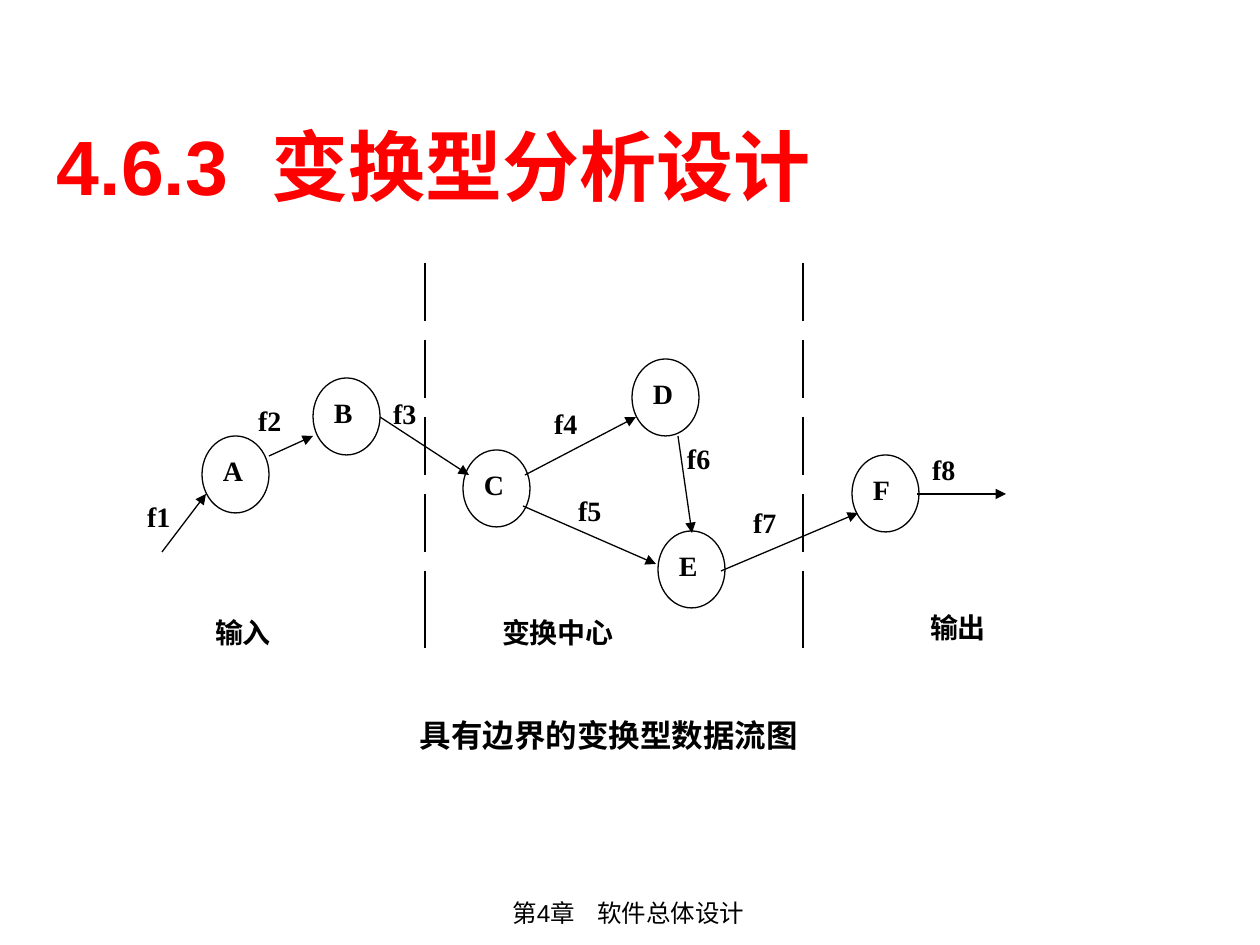
from lxml.etree import SubElement
from pptx import Presentation
from pptx.dml.color import RGBColor
from pptx.enum.shapes import MSO_CONNECTOR as Connector, MSO_SHAPE as Shape
from pptx.enum.text import MSO_ANCHOR as Anchor, MSO_AUTO_SIZE as AutoSize, PP_ALIGN as Align
from pptx.oxml.ns import qn
from pptx.util import Pt

EMU_PER_PX = 914400 / 126
COLORS = {"ink": "000000", "paper": "FFFFFF", "title": "FF0000"}
SERIF, SANS = "Times New Roman", "Arial"

FLOW_LABELS = {
    "f2": (247, 398, 58), "f3": (382, 391, 58), "f8": (921, 447, 58),
    "f7": (742, 500, 58), "f5": (567, 488, 48), "f6": (676, 436, 58),
    "f4": (543, 401, 58), "f1": (136, 494, 58),
}
PROCESSES = {
    "A": (202, 436), "B": (313, 378), "E": (658, 531),
    "D": (632, 359), "C": (463, 450), "F": (852, 455),
}
FLOWS = [
    (162, 552, 206, 494), (269, 456, 313, 436), (380, 417, 469, 475),
    (525, 475, 636, 417), (678, 436, 692, 533), (523, 506, 656, 564),
    (721, 571, 858, 513), (917, 494, 1006, 494),
]
REGIONS = {
    "输入": (180, 610, 126), "变换中心": (469, 610, 178), "输出": (869, 605, 178),
}
BOUNDARIES = (425, 803)
DASH_TOP, DASH_STEP, DASH_LENGTH, DASH_COUNT = 263, 77, 58, 5


def px(value):
    return round(value * EMU_PER_PX)


def color(name):
    return RGBColor.from_string(COLORS[name])


def write(frame, text, size, font, align, bold=True, ink="ink", anchor=Anchor.TOP, inset=(11, 6)):
    frame.text = text
    frame.word_wrap = True
    frame.auto_size = AutoSize.NONE
    frame.vertical_anchor = anchor
    frame.margin_left = frame.margin_right = px(inset[0])
    frame.margin_top = frame.margin_bottom = px(inset[1])
    paragraph = frame.paragraphs[0]
    paragraph.alignment = align
    for run in paragraph.runs:
        run.font.size = Pt(size)
        run.font.name = font
        run.font.bold = bold
        run.font.color.rgb = color(ink)


def add_title(slide, text):
    title = slide.shapes.title
    title.left, title.top, title.width, title.height = map(px, (44, 105, 1134, 120))
    write(title.text_frame, text, 44, SANS, Align.LEFT, ink="title", anchor=Anchor.MIDDLE, inset=(13, 6))


def add_text(slide, text, box, size, bold, inset):
    caption = slide.shapes.add_textbox(*map(px, box))
    write(caption.text_frame, text, size, SANS, Align.CENTER, bold, inset=inset)


def add_node(slide, kind, text, box, align=Align.JUSTIFY, outlined=False):
    node = slide.shapes.add_shape(kind, *map(px, box))
    node.shadow.inherit = False
    node.fill.solid()
    node.fill.fore_color.rgb = color("paper")
    if outlined:
        node.line.color.rgb = color("ink")
        node.line.width = Pt(0.75)
    else:
        node.line.fill.background()
    write(node.text_frame, text, 16, SERIF, align)


def add_line(slide, ends, arrow=False):
    line = slide.shapes.add_connector(Connector.STRAIGHT, *map(px, ends))
    line.line.color.rgb = color("ink")
    line.line.width = Pt(0.75)
    if arrow:
        SubElement(line.line._get_or_add_ln(), qn("a:tailEnd"), type="triangle")
    SubElement(line._element.spPr, qn("a:effectLst"))


def add_boundary(slide, x):
    for index in range(DASH_COUNT):
        top = DASH_TOP + index * DASH_STEP
        length = DASH_STEP if index == DASH_COUNT - 1 else DASH_LENGTH
        add_line(slide, (x, top, x, top + length))


def main():
    deck = Presentation()
    deck.slide_width, deck.slide_height = px(1260), px(945)
    slide = deck.slides.add_slide(deck.slide_layouts[5])

    add_text(slide, "第4章    软件总体设计", (296, 892, 665, 43), 14, False, (13, 6))
    add_title(slide, "4.6.3  变换型分析设计")
    for name, (left, top, height) in FLOW_LABELS.items():
        add_node(slide, Shape.RECTANGLE, name, (left, top, 67, height))
    for name, (left, top, width) in REGIONS.items():
        add_node(slide, Shape.RECTANGLE, name, (left, top, width, 58), Align.CENTER)
    for name, (left, top) in PROCESSES.items():
        add_node(slide, Shape.OVAL, name, (left, top, 67, 77), outlined=True)
    for x in BOUNDARIES:
        add_boundary(slide, x)
    for ends in FLOWS:
        add_line(slide, ends, arrow=True)
    add_text(slide, "具有边界的变换型数据流图", (175, 716, 868, 38), 18, True, (0, 0))

    deck.save("out.pptx")


if __name__ == "__main__":
    main()
